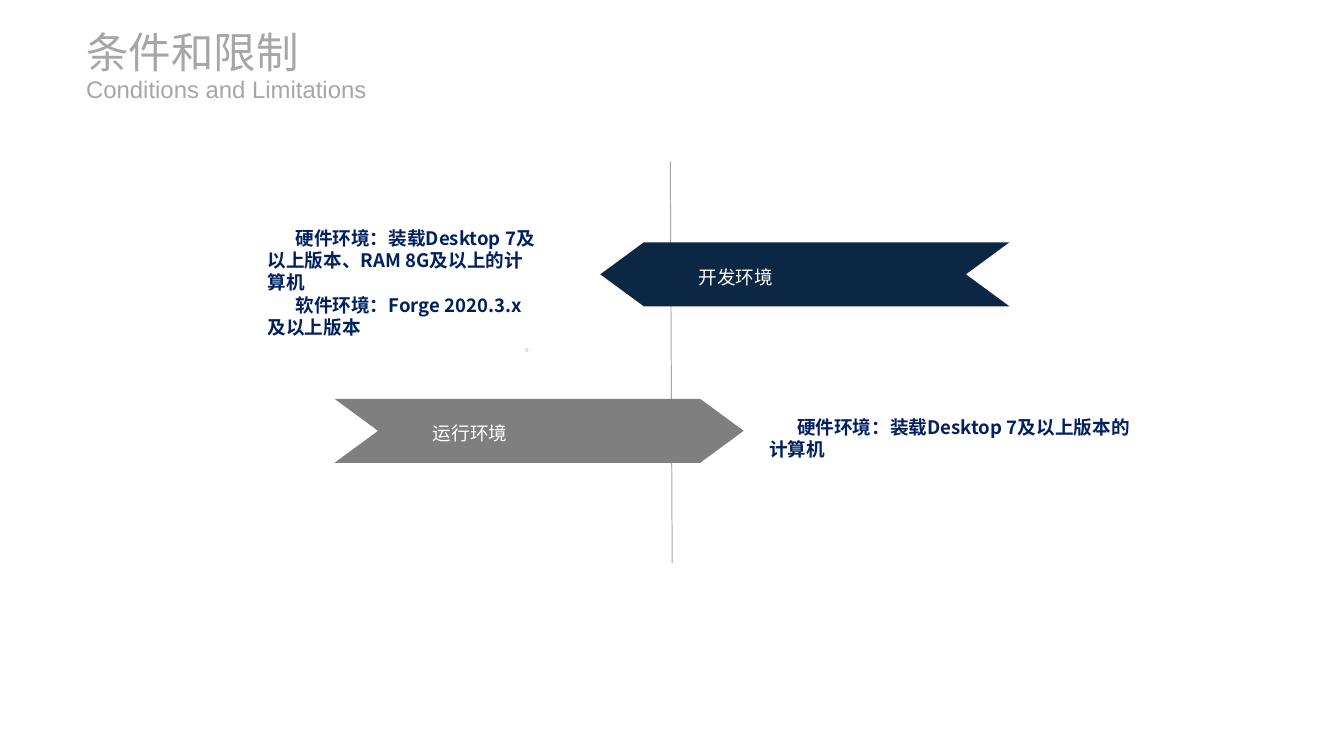
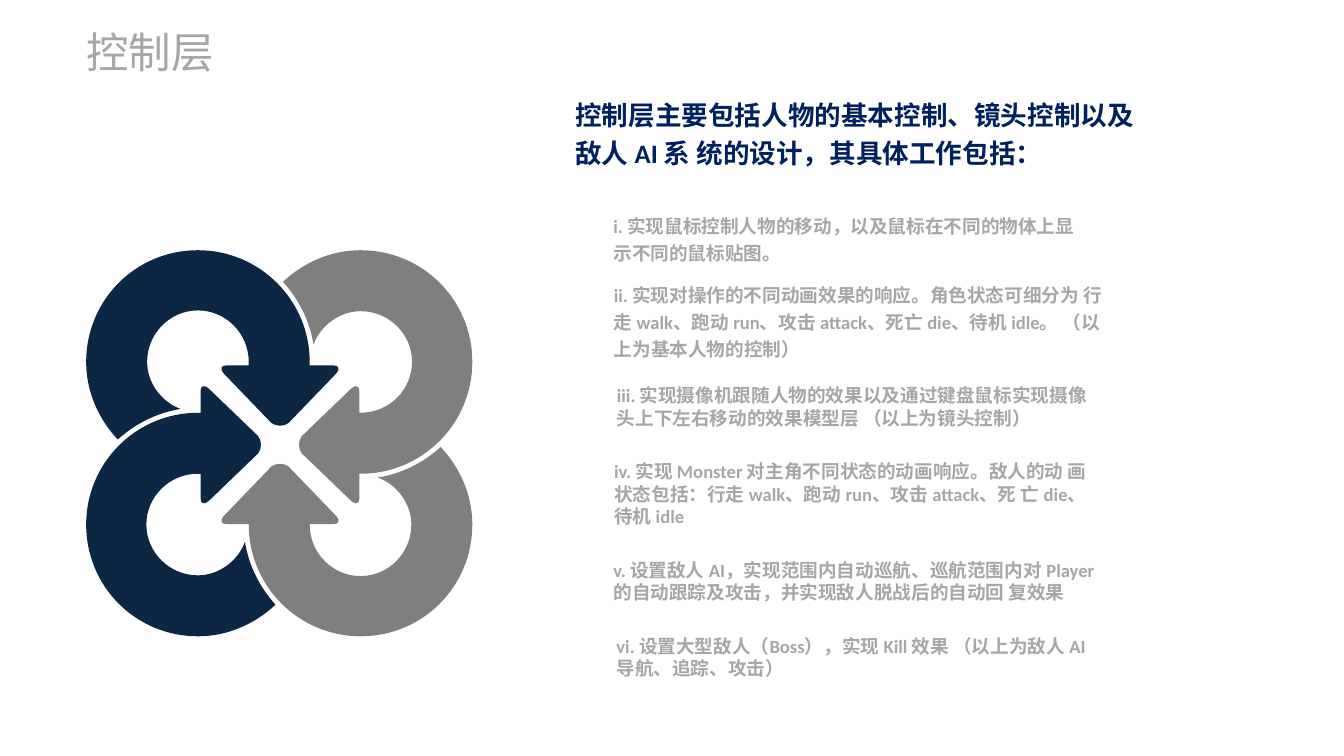
from pptx import Presentation
from pptx.dml.color import RGBColor
from pptx.enum import shapes, text
from pptx.oxml.ns import qn
from pptx.util import Cm, Pt
from lxml import etree

NAVY = RGBColor(0x0C, 0x27, 0x44)
BLUE = RGBColor(0x00, 0x20, 0x60)
GRAY = RGBColor(0x7F, 0x7F, 0x7F)
PALE = RGBColor(0xA6, 0xA6, 0xA6)
WHITE = RGBColor(0xFF, 0xFF, 0xFF)
SANS, BODY, HAN = "Arial", "Calibri", "Noto Sans CJK SC"
LEFT, RIGHT = text.PP_ALIGN.LEFT, text.PP_ALIGN.RIGHT
TOP, MID = text.MSO_ANCHOR.TOP, text.MSO_ANCHOR.MIDDLE

# Slide 1: label, fill, left, top, turn
ARROWS = [
    ("开发环境", NAVY, 15.95, 6.44, 180),
    ("运行环境", GRAY, 8.89, 10.6, 0),
]
# Box, paragraphs
NOTES = [
    ((4.32, 5.9, 10.16, 3.63), ["硬件环境：装载Desktop 7及以上版本、RAM 8G及以上的计算机",
                                "软件环境：Forge 2020.3.x及以上版本"]),
    ((17.65, 10.92, 12.75, 1.45), ["硬件环境：装载Desktop 7及以上版本的计算机"]),
]

# Slide 2: box, line spacing, inset, words
LEAD = "控制层主要包括人物的基本控制、镜头控制以及敌人 AI 系 统的设计，其具体工作包括："
TASKS = [
    ((16.05, 5.47, 13.11, 1.63), 1.2, True,
     "i. 实现鼠标控制人物的移动，以及鼠标在不同的物体上显 示不同的鼠标贴图。"),
    ((16.31, 7.44, 13, 2.11), 1.2, False,
     "ii. 实现对操作的不同动画效果的响应。角色状态可细分为 行走 walk、跑动 run、"
     "攻击 attack、死亡 die、待机 idle。 （以上为基本人物的控制）"),
    ((16.14, 10.09, 13.34, 1.45), 1, True,
     "iii. 实现摄像机跟随人物的效果以及通过键盘鼠标实现摄像 头上下左右移动的效果模型层 "
     "（以上为镜头控制）"),
    ((16.07, 12.11, 13.34, 2.06), 1, True,
     "iv. 实现 Monster 对主角不同状态的动画响应。敌人的动 画状态包括：行走 walk、"
     "跑动 run、攻击 attack、死 亡 die、待机 idle"),
    ((16.05, 14.73, 13.34, 2.06), 1, True,
     "v. 设置敌人 AI，实现范围内自动巡航、巡航范围内对 Player 的自动跟踪及攻击，"
     "并实现敌人脱战后的自动回 复效果"),
    ((16.13, 16.74, 13.23, 1.45), 1, True,
     "vi. 设置大型敌人（Boss），实现 Kill 效果 （以上为敌人 AI 导航、追踪、攻击）"),
]

# Knot: one arrow around its centre; pairs are lines, sixes are curves
HEAD = [
    (1.42, -2.11), (1.57, -2.11, 1.6, -2.01, 1.5, -1.9),
    (0.23, -0.58), (0.1, -0.48, -0.1, -0.48, -0.23, -0.58),
    (-1.5, -1.9), (-1.6, -2.01, -1.57, -2.11, -1.42, -2.11),
]
LOOP = [
    (-2.16, -5.13),
    (-3.81, -5.13, -5.13, -3.81, -5.13, -2.16),
    (-5.13, -1.37, -4.8, -0.64, -4.29, -0.1),
    (-3.81, -0.53, -3.25, -0.81, -2.62, -0.91),
    (-3.12, -1.09, -3.51, -1.6, -3.51, -2.16),
    (-3.51, -2.92, -2.9, -3.53, -2.16, -3.53),
    (-1.42, -3.53, -0.81, -2.92, -0.81, -2.16),
    (-0.81, -2.03, -0.84, -1.9, -0.89, -1.75),
    (0.79, -1.75), (0.81, -2.16),
    (0.81, -3.81, -0.53, -5.13, -2.16, -5.13),
]
PARTS = [(HEAD, 7.44, 11.82), (LOOP, 7.42, 11.78)]  # outline, centre
TURNS = [NAVY, NAVY, GRAY, GRAY]  # counterclockwise from top left


def style(para, size, color, face, bold=False, space=1.0, align=LEFT):
    font = para.font
    font.size, font.name, font.bold = Pt(size), face, bold
    font.color.rgb = color
    para.line_spacing, para.alignment = space, align


def write(slide, box, lines, look, inset=True, wrap=True, anchor=TOP):
    frame = slide.shapes.add_textbox(*map(Cm, box)).text_frame
    frame.word_wrap, frame.vertical_anchor = wrap, anchor
    frame.auto_size = text.MSO_AUTO_SIZE.SHAPE_TO_FIT_TEXT
    if not inset:
        frame.margin_left = frame.margin_right = 0
        frame.margin_top = frame.margin_bottom = 0
    frame.text = "\n".join(lines)
    for para in frame.paragraphs:
        style(para, **look)
    return frame


def title(slide, name, sub=None):
    for line, size, box in ((name, 32, (2.29, 0.68, 10.97, 1.37)),
                            (sub, 18, (2.29, 1.98, 7.8, 0.76))):
        if line:
            write(slide, box, [line], dict(size=size, color=PALE, face=SANS),
                  inset=False, anchor=MID)


def paint(shape, color):
    shape.shadow.inherit = False
    shape.fill.solid()
    shape.fill.fore_color.rgb = color
    shape.line.fill.background()


def spin(seg, turns):
    """Points of a segment after quarter turns counterclockwise."""
    pts = list(zip(seg[::2], seg[1::2]))
    for _ in range(turns):
        pts = [(y, -x) for x, y in pts]
    return pts


def trace(slide, outline, x, y, turns):
    segs = [[(Cm(x + a), Cm(y + b)) for a, b in spin(seg, turns)] for seg in outline]
    pen = slide.shapes.build_freeform(*segs[0][0])
    pen.add_line_segments([seg[-1] for seg in segs[1:]], close=True)
    shape = pen.convert_to_shape()
    # bend the lines that have control points
    lines = list(shape._element.iter(qn("a:lnTo")))
    for line, seg in zip(lines, segs[1:]):
        if len(seg) == 3:
            curve = etree.Element(qn("a:cubicBezTo"))
            for a, b in seg:
                etree.SubElement(curve, qn("a:pt"),
                                 x=str(a - shape.left), y=str(b - shape.top))
            line.getparent().replace(line, curve)
    return shape


def knot(slide):
    for turns, color in enumerate(TURNS):
        for outline, x, y in PARTS:
            paint(trace(slide, outline, x, y, turns), color)


def limits(slide):
    # Centre line
    axis = slide.shapes.add_connector(shapes.MSO_CONNECTOR.STRAIGHT,
                                      Cm(17.81), Cm(4.29), Cm(17.86), Cm(14.96))
    axis.line.color.rgb, axis.line.width = PALE, Pt(0.75)
    etree.SubElement(axis._element.spPr, qn("a:effectLst"))
    # Notes with an indented first line
    for box, lines in NOTES:
        frame = write(slide, box, lines, dict(size=14, color=BLUE, face=HAN, bold=True))
        for para in frame.paragraphs:
            props = para._p.get_or_add_pPr()
            props.set("marL", str(Cm(2.54)))
            props.set("indent", str(Cm(0.74)))
        if len(lines) > 1:
            dot = frame.add_paragraph()
            dot.text = "。"
            style(dot, 8, PALE, SANS, space=1.2, align=RIGHT)
    # Arrows
    for label, color, x, y, turn in ARROWS:
        arrow = slide.shapes.add_shape(shapes.MSO_SHAPE.CHEVRON,
                                       Cm(x), Cm(y), Cm(10.87), Cm(1.7))
        arrow.adjustments[0] = 0.68
        arrow.rotation = turn
        paint(arrow, color)
        write(slide, (x + 2.36, y + 0.38, 2.51, 0.91), [label],
              dict(size=14, color=WHITE, face=SANS, space=1.2), wrap=False)
    title(slide, "条件和限制", "Conditions and Limitations")


def control(slide):
    knot(slide)
    write(slide, (15.29, 2.45, 15.11, 1.98), [LEAD],
          dict(size=20, color=BLUE, face=BODY, bold=True, space=1.2), inset=False)
    for box, space, inset, words in TASKS:
        write(slide, box, [words],
              dict(size=14, color=PALE, face=BODY, bold=True, space=space), inset=inset)
    title(slide, "控制层")


def main():
    deck = Presentation()
    deck.slide_width, deck.slide_height = Cm(35.71), Cm(20.09)
    for build in (limits, control):
        build(deck.slides.add_slide(deck.slide_layouts[6]))
    deck.save("out.pptx")


if __name__ == "__main__":
    main()
